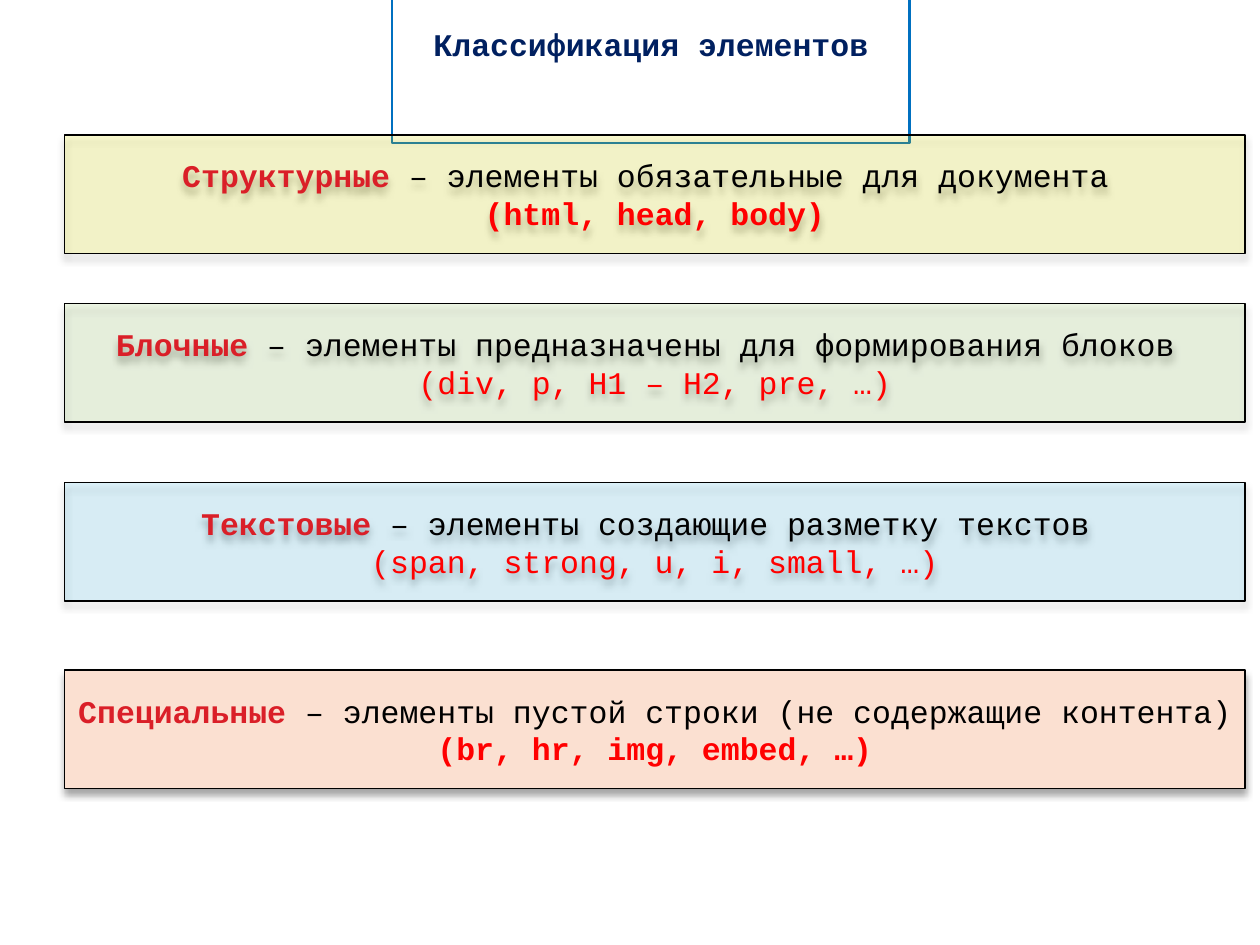
from lxml.etree import SubElement
from pptx import Presentation
from pptx.dml.color import RGBColor
from pptx.enum.shapes import MSO_SHAPE as SHAPE
from pptx.enum.text import MSO_ANCHOR as ANCHOR, MSO_AUTO_SIZE as AUTO, PP_ALIGN as ALIGN
from pptx.oxml.ns import qn
from pptx.util import Cm, Pt

FONT = "Courier New"
LEFT, WIDTH, HEIGHT = 1.3, 23.8, 2.39
BANDS = [
    (2.72, "FFFF00", 17, "Структурные", " – элементы обязательные для документа ",
     "(html, head, body)", True),
    (6.12, "92D050", 14, "Блочные", " – элементы предназначены для формирования блоков ",
     "(div, p, H1 – H2, pre, …)", False),
    (9.73, "00B0F0", 12, "Текстовые", " – элементы создающие разметку текстов ",
     "(span, strong, u, i, small, …)", False),
    (13.51, "FBE0D1", 100, "Специальные",
     " – элементы пустой строки (не содержащие контента) ",
     "(br, hr, img, embed, …)", True),
]


def rgb(value):
    """Turn a hex string into a colour."""
    return RGBColor.from_string(value)


def place(sp, x, y, w, h):
    """Put a shape at a box given in centimetres."""
    sp.left, sp.top, sp.width, sp.height = Cm(x), Cm(y), Cm(w), Cm(h)


def set_alpha(color, percent):
    """Give a colour element an opacity."""
    SubElement(color, qn("a:alpha"), val=str(percent * 1000))


def add_shadow(sp):
    """Add a soft black shadow below a shape."""
    sp.shadow.inherit = False
    effects = sp._element.spPr.find(qn("a:effectLst"))
    shadow = SubElement(effects, qn("a:outerShdw"), blurRad=str(Pt(4)),
                        dist=str(Pt(3)), dir="5400000", rotWithShape="0")
    set_alpha(SubElement(shadow, qn("a:srgbClr"), val="000000"), 35)


def add_run(p, text, color, bold):
    """Append a coloured run to a paragraph."""
    r = p.add_run()
    r.text = text
    r.font.color.rgb = rgb(color)
    r.font.bold = bold


def format_paragraph(p):
    """Centre a paragraph and set its typeface."""
    p.alignment = ALIGN.CENTER
    p.font.name, p.font.size = FONT, Pt(18)


def add_title(slide, x, y, w, h):
    """Fill the outlined title."""
    sp = slide.shapes.title
    place(sp, x, y, w, h)
    sp.line.color.rgb = rgb("0070C0")
    sp.line.width = Pt(1.5)
    tf = sp.text_frame
    tf.word_wrap = True
    tf.auto_size = AUTO.SHAPE_TO_FIT_TEXT
    tf.vertical_anchor = ANCHOR.MIDDLE
    p = tf.paragraphs[0]
    format_paragraph(p)
    add_run(p, "Классификация элементов", "002060", True)


def add_band(slide, x, y, w, h, fill, opacity, term, meaning, tags, bold):
    """Add a tinted band with a term, its meaning and its tags."""
    sp = slide.shapes.add_shape(SHAPE.RECTANGLE, Cm(x), Cm(y), Cm(w), Cm(h))
    sp.fill.solid()
    sp.fill.fore_color.rgb = rgb(fill)
    if opacity < 100:
        set_alpha(sp._element.spPr.find(qn("a:solidFill"))[0], opacity)
    sp.line.color.rgb = rgb("000000")
    sp.line.width = Pt(0.75)
    add_shadow(sp)
    tf = sp.text_frame
    tf.word_wrap = True
    tf.vertical_anchor = ANCHOR.MIDDLE
    first, second = tf.paragraphs[0], tf.add_paragraph()
    for p in (first, second):
        format_paragraph(p)
    add_run(first, term, "DA1F28", True)
    add_run(first, meaning, "000000", False)
    add_run(second, tags, "FF0000", bold)


def main():
    """Build and save the slide."""
    prs = Presentation()
    prs.slide_width, prs.slide_height = Cm(25.4), Cm(19.05)
    slide = prs.slides.add_slide(prs.slide_layouts[5])
    add_title(slide, 7.9, 0.38, 10.44, 1.02)
    for y, *content in BANDS:
        add_band(slide, LEFT, y, WIDTH, HEIGHT, *content)
    prs.save("out.pptx")


if __name__ == "__main__":
    main()
